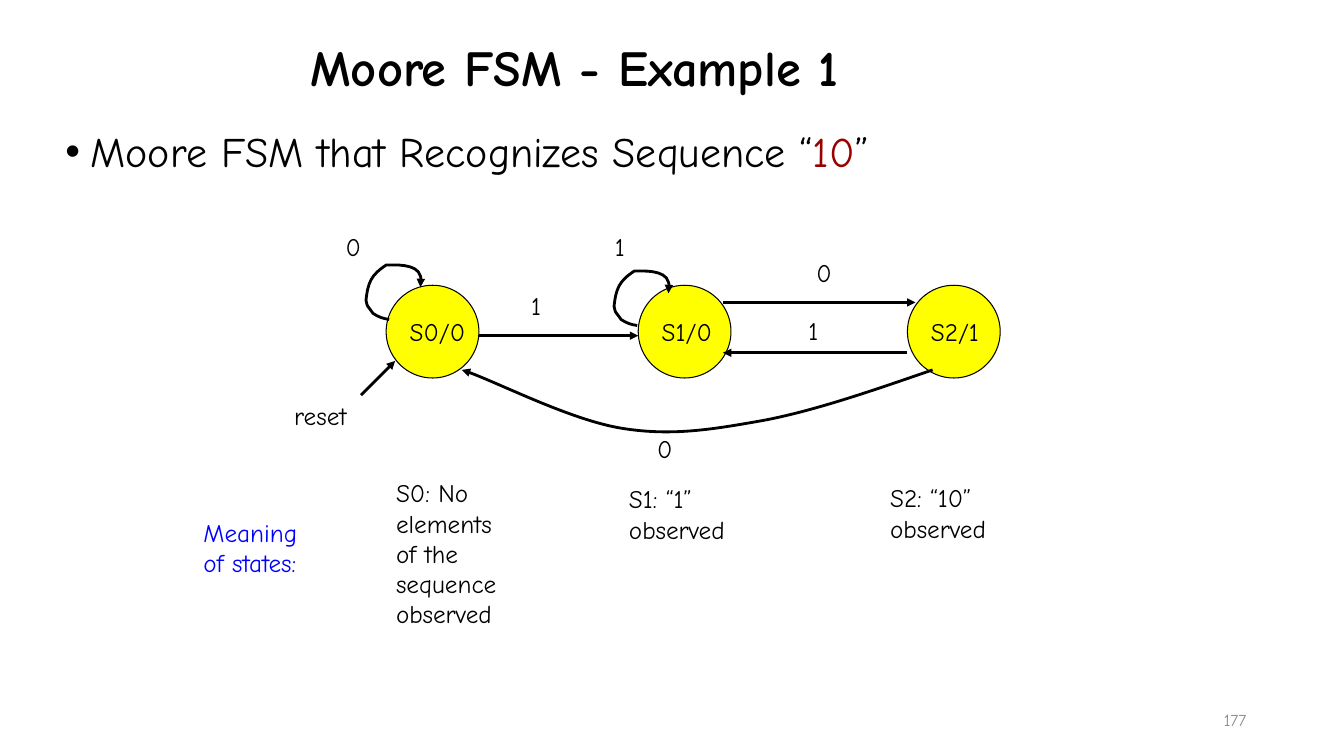
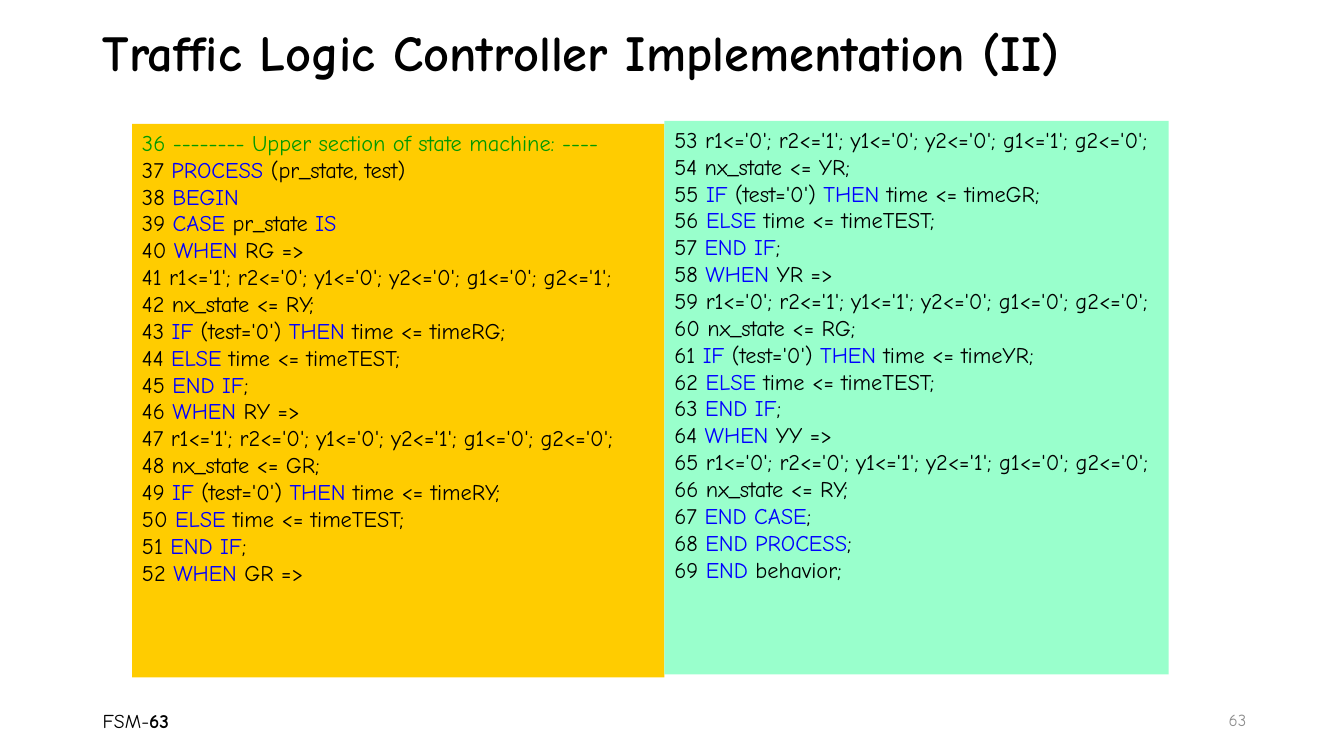
from lxml import etree
from pptx import Presentation
from pptx.dml.color import RGBColor
from pptx.enum.shapes import MSO_CONNECTOR, MSO_SHAPE
from pptx.enum.text import MSO_ANCHOR, MSO_AUTO_SIZE, PP_ALIGN
from pptx.oxml.ns import qn
from pptx.util import Inches, Pt

STRAIGHT = MSO_CONNECTOR.STRAIGHT
OVAL, RECTANGLE = MSO_SHAPE.OVAL, MSO_SHAPE.RECTANGLE
TOP, MIDDLE = MSO_ANCHOR.TOP, MSO_ANCHOR.MIDDLE
GROW, FIXED = MSO_AUTO_SIZE.SHAPE_TO_FIT_TEXT, MSO_AUTO_SIZE.NONE
LEFT, RIGHT = PP_ALIGN.LEFT, PP_ALIGN.RIGHT

BLACK = RGBColor(0x00, 0x00, 0x00)
GRAY = RGBColor(0x8C, 0x8C, 0x8C)
BLUE = RGBColor(0x00, 0x00, 0xFF)
RED = RGBColor(0x99, 0x00, 0x00)
GREEN = RGBColor(0x00, 0x99, 0x00)
YELLOW = RGBColor(0xFF, 0xFF, 0x00)
AMBER = RGBColor(0xFF, 0xCC, 0x00)
MINT = RGBColor(0x99, 0xFF, 0xCC)


class Deck:
    font = "Comic Neue"

    def __init__(self):
        self.presentation = Presentation()
        self.presentation.slide_width = Inches(13.33)
        self.presentation.slide_height = Inches(7.5)
        self.slide = None

    def new_slide(self, title, title_box, number):
        layout = self.presentation.slide_layouts[6]
        self.slide = self.presentation.slides.add_slide(layout)
        heading = self.text(title_box, [title], 36, bold=True, anchor=MIDDLE)
        heading.text_frame.paragraphs[0].line_spacing = 0.9
        self.text((9.46, 6.94, 3, 0.4), [number], 12, GRAY,
                  anchor=MIDDLE, align=RIGHT)

    def add_runs(self, paragraph, text, size, color=BLACK, accent=BLUE,
                 bold=False, accent_bold=False):
        for index, part in enumerate(text.split("|")):
            if not part:
                continue
            marked = index % 2 == 1
            run = paragraph.add_run()
            run.text = part
            run.font.name = self.font
            run.font.size = Pt(size)
            run.font.bold = bold or (marked and accent_bold)
            run.font.color.rgb = accent if marked else color

    def fill_frame(self, frame, lines, size, color=BLACK, anchor=TOP,
                   align=LEFT, wrap=True, fit=FIXED, **style):
        frame.word_wrap = wrap
        frame.auto_size = fit
        frame.vertical_anchor = anchor
        for index, line in enumerate(lines):
            paragraph = frame.add_paragraph() if index else frame.paragraphs[0]
            paragraph.alignment = align
            self.add_runs(paragraph, line, size, color, **style)

    def text(self, box, lines, size, color=BLACK, **options):
        shape = self.slide.shapes.add_textbox(*map(Inches, box))
        self.fill_frame(shape.text_frame, lines, size, color, **options)
        return shape

    def label(self, box, lines, color=BLACK, wrap=False):
        self.text(box, lines, 18, color, wrap=wrap, fit=GROW)

    def bullet(self, box, line, size, accent):
        shape = self.text(box, [line], size, accent=accent)
        paragraph = shape.text_frame.paragraphs[0]
        paragraph.line_spacing = 0.9
        paragraph.space_before = Pt(10)
        properties = paragraph._p.get_or_add_pPr()
        properties.set("marL", str(Inches(0.25)))
        properties.set("indent", str(Inches(-0.25)))
        etree.SubElement(properties, qn("a:buFont")).set("typeface", "Arial")
        etree.SubElement(properties, qn("a:buChar")).set("char", "•")

    def shape(self, preset, box, fill, border=None):
        shape = self.slide.shapes.add_shape(preset, *map(Inches, box))
        shape.shadow.inherit = False
        shape.fill.solid()
        shape.fill.fore_color.rgb = fill
        if border is None:
            shape.line.fill.background()
        else:
            shape.line.color.rgb = border
            shape.line.width = Pt(0.75)
        return shape

    def state(self, left, name):
        circle = self.shape(OVAL, (left, 2.83, 0.92, 0.92), YELLOW, BLACK)
        self.fill_frame(circle.text_frame, [name], 18, anchor=MIDDLE, wrap=False)

    def code_panel(self, box, fill, first_number, lines):
        panel = self.shape(RECTANGLE, box, fill)
        numbered = [f"{number} {line}"
                    for number, line in enumerate(lines, first_number)]
        self.fill_frame(panel.text_frame, numbered, 16)
        return panel

    def arrow_style(self, shape):
        shape.line.color.rgb = BLACK
        shape.line.width = Pt(2)
        outline = shape.element.spPr.find(qn("a:ln"))
        etree.SubElement(outline, qn("a:tailEnd")).set("type", "triangle")

    def arrow(self, start, end):
        points = map(Inches, (*start, *end))
        connector = self.slide.shapes.add_connector(STRAIGHT, *points)
        self.arrow_style(connector)
        etree.SubElement(connector.element.spPr, qn("a:effectLst"))

    def curved_arrow(self, points, offset=(0, 0)):
        start, *controls = [(Inches(x + offset[0]), Inches(y + offset[1]))
                            for x, y in points]
        builder = self.slide.shapes.build_freeform(*start, scale=1.0)
        builder.add_line_segments(controls, close=False)
        shape = builder.convert_to_shape()
        shape.shadow.inherit = False
        shape.fill.background()
        self.arrow_style(shape)
        segments = list(shape.element.iter(qn("a:lnTo")))
        outline = segments[0].getparent()
        for index in range(0, len(segments), 3):
            curve = etree.SubElement(outline, qn("a:cubicBezTo"))
            for segment in segments[index:index + 3]:
                curve.append(segment[0])
                outline.remove(segment)


SELF_LOOP = [
    (3.86, 3.17), (3.8, 3.16), (3.76, 3.15), (3.7, 3.11),
    (3.63, 3.01), (3.65, 3.06), (3.63, 2.98),
    (3.65, 2.8), (3.68, 2.73), (3.83, 2.63),
    (3.9, 2.63), (4.14, 2.61), (4.17, 2.74),
    (4.18, 2.78), (4.17, 2.81), (4.17, 2.85),
]
RETURN_CURVE = [
    (9.25, 3.67), (8.67, 3.87), (8.1, 4.07), (7.58, 4.17),
    (7.07, 4.26), (6.67, 4.33), (6.17, 4.25),
    (5.67, 4.17), (4.85, 3.75), (4.58, 3.67),
]
UPPER_CODE = [
    "-------- Upper section of state machine: ----",
    "|PROCESS| (pr_state, test)",
    "|BEGIN|",
    "|CASE |pr_state |IS|",
    "|WHEN| RG =>",
    "r1<='1'; r2<='0'; y1<='0'; y2<='0'; g1<='0'; g2<='1';",
    "nx_state <= RY;",
    "|IF| (test='0') |THEN| time <= timeRG;",
    "|ELSE| time <= timeTEST;",
    "|END IF|;",
    "|WHEN| RY =>",
    "r1<='1'; r2<='0'; y1<='0'; y2<='1'; g1<='0'; g2<='0';",
    "nx_state <= GR;",
    "|IF| (test='0') |THEN| time <= timeRY;",
    "|ELSE| time <= timeTEST;",
    "|END IF|;",
    "|WHEN| GR =>",
]
LOWER_CODE = [
    "r1<='0'; r2<='1'; y1<='0'; y2<='0'; g1<='1'; g2<='0';",
    "nx_state <= YR;",
    "|IF| (test='0') |THEN| time <= timeGR;",
    "|ELSE| time <= timeTEST;",
    "|END IF|;",
    "|WHEN| YR =>",
    "r1<='0'; r2<='1'; y1<='1'; y2<='0'; g1<='0'; g2<='0';",
    "nx_state <= RG;",
    "|IF| (test='0') |THEN| time <= timeYR;",
    "|ELSE| time <= timeTEST;",
    "|END IF|;",
    "|WHEN| YY =>",
    "r1<='0'; r2<='0'; y1<='1'; y2<='1'; g1<='0'; g2<='0';",
    "nx_state <= RY;",
    "|END CASE|;",
    "|END PROCESS|;",
    "|END| behavior;",
]


def build_state_diagram(deck):
    deck.new_slide("Moore FSM - Example 1", (2.98, -0.03, 11.5, 1.45), "177")
    deck.bullet((0.55, 1.25, 9.42, 5.5),
                "Moore FSM that Recognizes Sequence “|10|”", 30, RED)
    for left, name in ((3.83, "S0/0"), (6.33, "S1/0"), (9, "S2/1")):
        deck.state(left, name)
    for offset in ((0, 0), (2.46, 0.06)):
        deck.curved_arrow(SELF_LOOP, offset)
    deck.curved_arrow(RETURN_CURVE)
    for start, end in (
        ((7.17, 3), (9.08, 3)),
        ((4.75, 3.33), (6.33, 3.33)),
        ((9, 3.5), (7.17, 3.5)),
        ((3.58, 3.92), (3.92, 3.58)),
    ):
        deck.arrow(start, end)
    for left, top, width, name in (
        (3.33, 2.25, 0.36, "0"),
        (8, 2.5, 0.36, "0"),
        (6.42, 4.25, 0.36, "0"),
        (6, 2.25, 0.32, "1"),
        (5.17, 2.83, 0.32, "1"),
        (7.92, 3.08, 0.32, "1"),
        (2.82, 3.92, 0.84, "reset"),
    ):
        deck.label((left, top, width, 0.4), [name])
    deck.label((1.92, 5.08, 1.37, 0.71), ["Meaning", "of states:"], BLUE)
    deck.label((3.83, 4.69, 1.33, 1.62),
               ["S0: No", "elements", "of the", "sequence", "observed"])
    deck.label((6.14, 4.75, 2, 0.71), ["S1: “1”", "observed"], wrap=True)
    deck.label((8.73, 4.74, 1.28, 0.71), ["S2: “10”", "observed"])


def build_code_listing(deck):
    deck.new_slide("Traffic Logic Controller Implementation (II)",
                   (0.92, 0.26, 11.45, 0.57), "63")
    deck.text((0.92, 6.95, 3, 0.4), ["FSM-|63|"], 14, anchor=MIDDLE,
              accent=BLACK, accent_bold=True)
    upper = deck.code_panel((1.31, 1.23, 5.28, 5.49), AMBER, 36, UPPER_CODE)
    upper.text_frame.paragraphs[0].runs[0].font.color.rgb = GREEN
    deck.code_panel((6.59, 1.2, 5, 5.49), MINT, 53, LOWER_CODE)


def main():
    deck = Deck()
    build_state_diagram(deck)
    build_code_listing(deck)
    deck.presentation.save("out.pptx")


if __name__ == "__main__":
    main()
